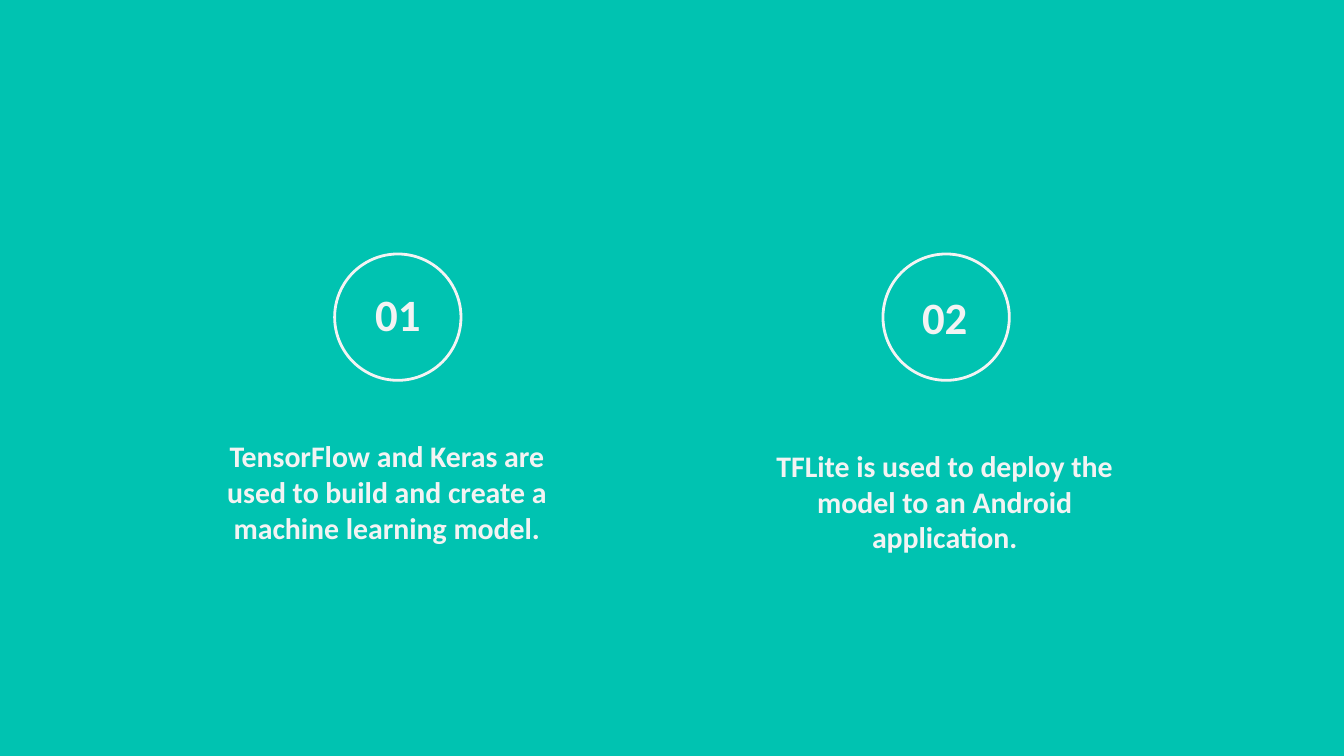
from dataclasses import dataclass

from pptx import Presentation
from pptx.dml.color import RGBColor
from pptx.enum.shapes import MSO_SHAPE
from pptx.enum.text import MSO_ANCHOR, PP_ALIGN
from pptx.util import Inches, Pt

# Content: number, its left and top, caption, its left, top and height
STEPS = [
    {"number": "01", "number_at": (2.49, 2.09),
     "caption": "TensorFlow and Keras are used to build and create a machine learning model.",
     "caption_at": (1.4, 3.16), "caption_height": 1.08},
    {"number": "02", "number_at": (6.56, 2.11),
     "caption": "TFLite is used to deploy the model to an Android application.",
     "caption_at": (5.55, 3.23), "caption_height": 0.94},
]


@dataclass(frozen=True)
class Theme:
    background: RGBColor = RGBColor(0x00, 0xC3, 0xB1)
    ink: RGBColor = RGBColor(0xF3, 0xF3, 0xF3)
    font: str = "Calibri"
    number_size: int = 24
    caption_size: int = 16
    ring_width: float = 1.5


THEME = Theme()

# Layout in inches
SLIDE_WIDTH = 10
SLIDE_HEIGHT = SLIDE_WIDTH * 9 / 16
RING_LEFT, RING_TOP, RING_SIZE = 2.49, 1.89, 0.94
RING_STEP = 4.08
NUMBER_HEIGHT = 0.49
CAPTION_WIDTH = 2.96


def add_ring(slide, left):
    ring = slide.shapes.add_shape(
        MSO_SHAPE.OVAL, Inches(left), Inches(RING_TOP), Inches(RING_SIZE), Inches(RING_SIZE))
    ring.shadow.inherit = False
    ring.fill.background()
    ring.line.color.rgb = THEME.ink
    ring.line.width = Pt(THEME.ring_width)


def add_label(slide, text, position, width, height, size, anchor):
    left, top = position
    label = slide.shapes.add_textbox(Inches(left), Inches(top), Inches(width), Inches(height))
    frame = label.text_frame
    frame.word_wrap = True
    frame.vertical_anchor = anchor
    frame.margin_left = frame.margin_right = Inches(0.1)
    frame.margin_top = frame.margin_bottom = Inches(0.1)
    paragraph = frame.paragraphs[0]
    paragraph.alignment = PP_ALIGN.CENTER
    run = paragraph.add_run()
    run.text = text
    run.font.name = THEME.font
    run.font.size = Pt(size)
    run.font.bold = True
    run.font.color.rgb = THEME.ink


def main():
    deck = Presentation()
    deck.slide_width, deck.slide_height = Inches(SLIDE_WIDTH), Inches(SLIDE_HEIGHT)
    slide = deck.slides.add_slide(deck.slide_layouts[6])
    slide.background.fill.solid()
    slide.background.fill.fore_color.rgb = THEME.background

    # One ring, number and caption per step
    for index, step in enumerate(STEPS):
        add_ring(slide, RING_LEFT + index * RING_STEP)
        add_label(slide, step["number"], step["number_at"], RING_SIZE, NUMBER_HEIGHT,
                  THEME.number_size, MSO_ANCHOR.MIDDLE)
        add_label(slide, step["caption"], step["caption_at"], CAPTION_WIDTH,
                  step["caption_height"], THEME.caption_size, MSO_ANCHOR.TOP)

    deck.save("out.pptx")


if __name__ == "__main__":
    main()
